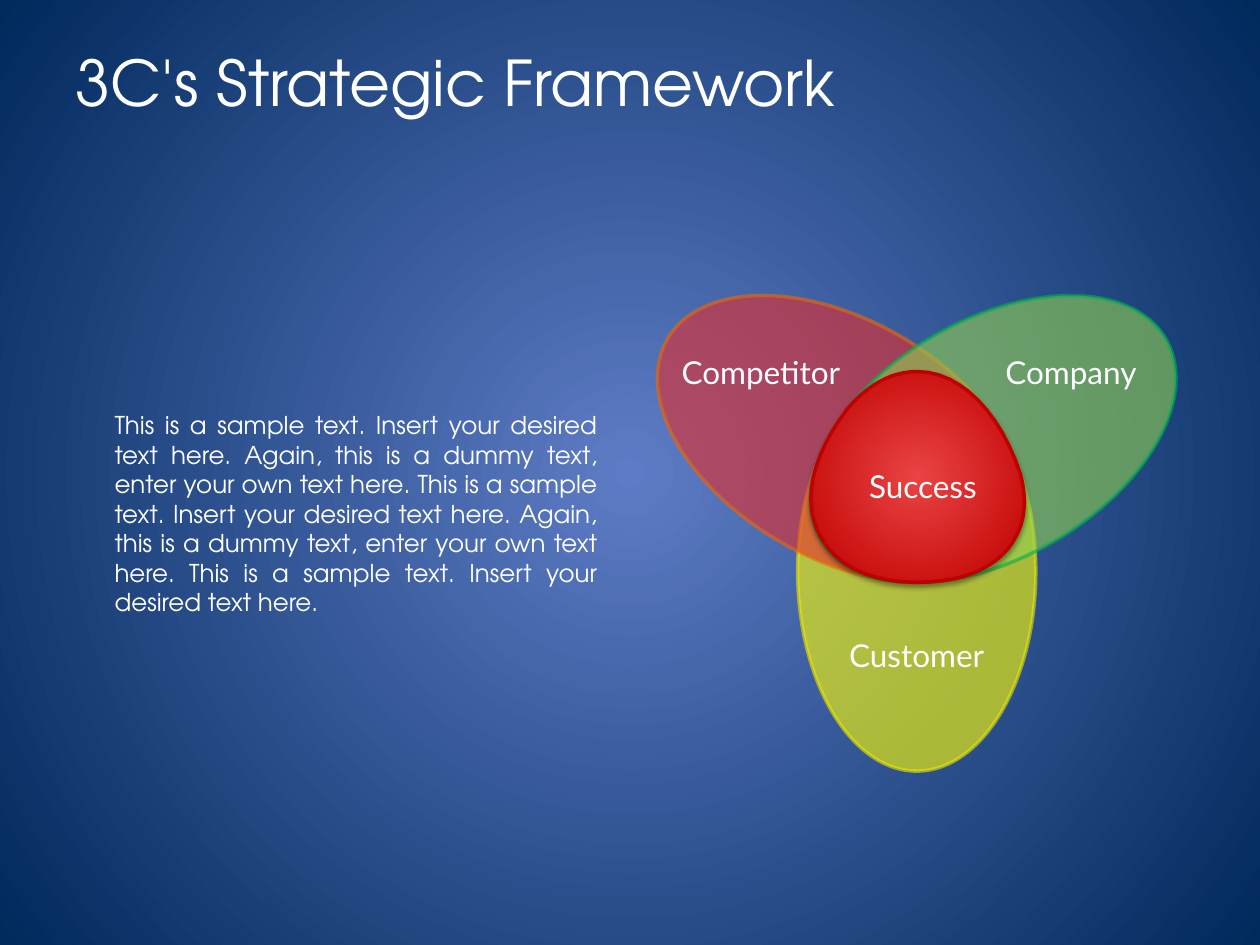
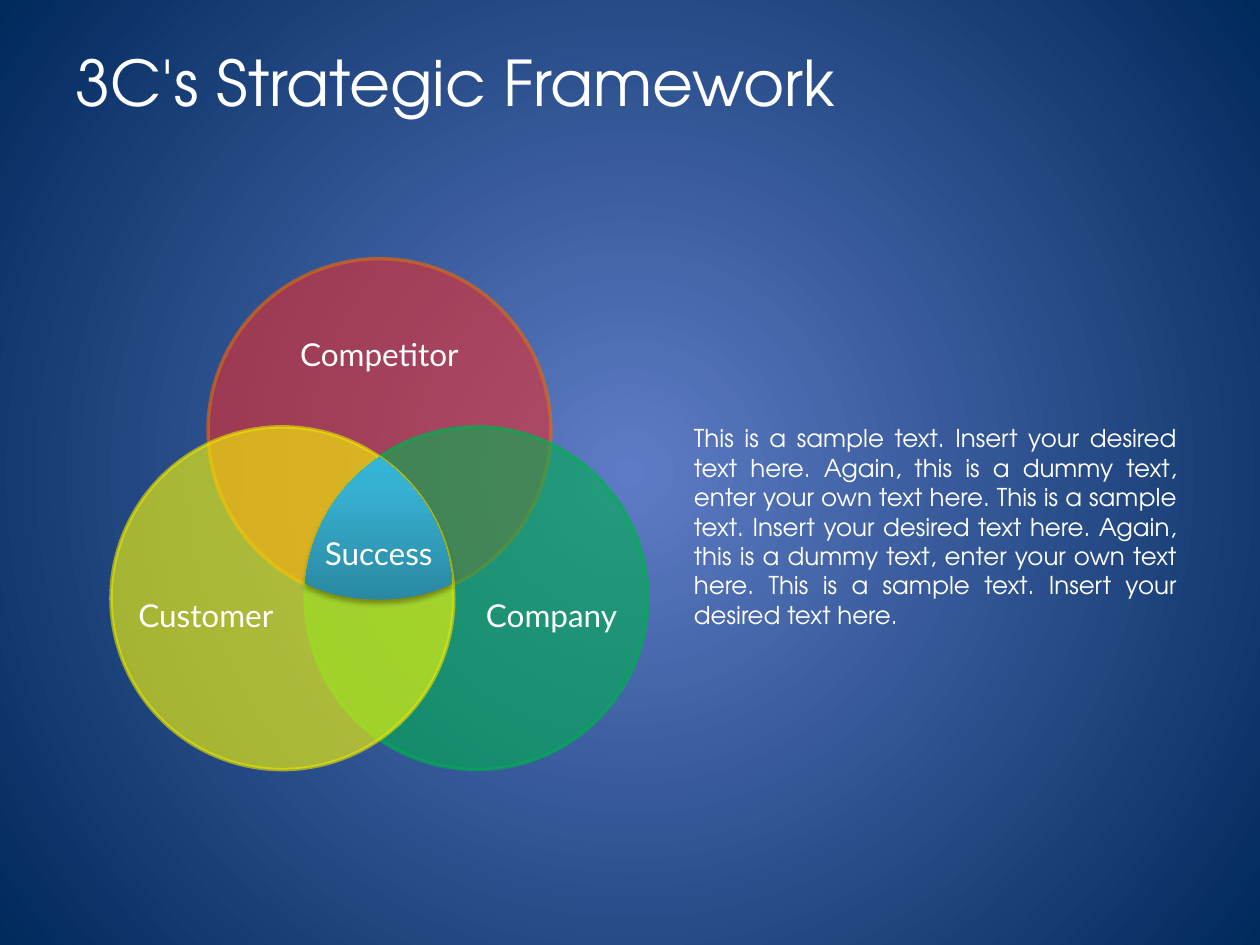
from dataclasses import dataclass
from math import cos, radians, sin
from typing import Optional

from lxml.etree import SubElement
from pptx import Presentation
from pptx.dml.color import RGBColor
from pptx.enum.shapes import MSO_SHAPE
from pptx.enum.text import MSO_ANCHOR, MSO_AUTO_SIZE as AutoSize, PP_ALIGN
from pptx.oxml import parse_xml
from pptx.oxml.ns import nsdecls, qn
from pptx.util import Cm, Pt

WHITE = RGBColor(0xFF, 0xFF, 0xFF)
BLACK = RGBColor(0x00, 0x00, 0x00)
GLOW_BLUE = RGBColor(0x5E, 0x7C, 0xC5)
NAVY = RGBColor(0x00, 0x29, 0x5C)
YELLOW = RGBColor(0xFF, 0xFF, 0x00)
DARK_YELLOW = RGBColor(0xEB, 0xE6, 0x00)
RED = RGBColor(0xE7, 0x2D, 0x2D)
ORANGE = RGBColor(0xE4, 0x6C, 0x0A)
LIME = RGBColor(0x92, 0xD0, 0x50)
GREEN = RGBColor(0x00, 0xB0, 0x50)
BRIGHT_RED = RGBColor(0xE9, 0x43, 0x43)
DARK_RED = RGBColor(0xC0, 0x00, 0x00)
TEAL = RGBColor(0x2A, 0x88, 0xA2)
AQUA = RGBColor(0x37, 0xB1, 0xD2)
SKY = RGBColor(0x34, 0xB4, 0xD6)

HEADING_FONT = "TeX Gyre Adventor"
LABEL_FONT = "Lato"
TITLE = "3C's Strategic Framework"
SAMPLE = "This is a sample text. Insert your desired text here."
AGAIN = "Again, this is a dummy text, enter your own text here."
BODY = " ".join([SAMPLE, AGAIN, SAMPLE, AGAIN, SAMPLE])

RADIAL = (
    '<a:path path="circle">'
    '<a:fillToRect l="50000" t="50000" r="50000" b="50000"/></a:path>'
)
UPWARD = '<a:lin ang="16200000" scaled="0"/>'
CURVE_STEPS = 12

Point = tuple[float, float]
Stops = list[tuple[int, RGBColor]]


@dataclass(frozen=True)
class Lobe:
    angle: float
    fill: RGBColor
    outline: RGBColor
    tilt: float = 0


@dataclass(frozen=True)
class Label:
    text: str
    left: float
    top: float
    width: float


@dataclass(frozen=True)
class Core:
    curve: list[Point]
    stops: Stops
    direction: str
    outline: Optional[RGBColor]
    shadow_alpha: int
    shadow_distance: float


@dataclass(frozen=True)
class Framework:
    center: Point
    spread: float
    lobe_size: Point
    lobes: list[Lobe]
    core: Core
    labels: list[Label]
    body_at: Point


PETALS = Framework(
    center=(18.48, 9.74),
    spread=1.78,
    lobe_size=(8.05, 4.8),
    lobes=[
        Lobe(90, YELLOW, DARK_YELLOW, 90),
        Lobe(210, RED, ORANGE, 30),
        Lobe(330, LIME, GREEN, 330),
    ],
    core=Core(
        curve=[
            (18.49, 7.49),
            (19.38, 7.49), (20.17, 8.33), (20.57, 9.55),
            (20.7, 10.03), (20.68, 10.49), (20.45, 10.87),
            (20.22, 11.28), (19.79, 11.53), (19.28, 11.66),
            (18.06, 11.89), (16.99, 11.61), (16.56, 10.85),
            (16.13, 10.13), (16.38, 9.17), (17.07, 8.26),
            (17.48, 7.77), (17.96, 7.49), (18.49, 7.49),
        ],
        stops=[(0, BRIGHT_RED), (100, DARK_RED)],
        direction=RADIAL,
        outline=DARK_RED,
        shadow_alpha=38,
        shadow_distance=1.6,
    ),
    labels=[
        Label("Customer", 16.79, 12.7, 3.38),
        Label("Competitor", 13.41, 6.99, 3.86),
        Label("Company", 19.66, 6.99, 3.86),
        Label("Success", 17.12, 9.3, 2.97),
    ],
    body_at=(2.06, 6.83),
)

CIRCLES = Framework(
    center=(7.65, 10.93),
    spread=2.26,
    lobe_size=(6.91, 6.91),
    lobes=[
        Lobe(270, RED, ORANGE),
        Lobe(30, GREEN, GREEN),
        Lobe(150, YELLOW, DARK_YELLOW),
    ],
    core=Core(
        curve=[
            (7.65, 9.22),
            (8.46, 9.78), (9.04, 10.69), (9.12, 11.76),
            (8.66, 11.99), (8.18, 12.09), (7.65, 12.09),
            (7.11, 12.09), (6.6, 11.99), (6.15, 11.76),
            (6.25, 10.69), (6.81, 9.78), (7.65, 9.22),
        ],
        stops=[(0, TEAL), (80, AQUA), (100, SKY)],
        direction=UPWARD,
        outline=None,
        shadow_alpha=35,
        shadow_distance=1.8,
    ),
    labels=[
        Label("Customer", 2.46, 11.89, 3.38),
        Label("Competitor", 5.72, 6.63, 3.86),
        Label("Company", 9.19, 11.89, 3.86),
        Label("Success", 6.15, 10.64, 2.97),
    ],
    body_at=(13.74, 7.09),
)


def apply_gradient(owner, fill, stops: Stops, direction: str) -> None:
    fill.gradient()
    stop_xml = "".join(
        f'<a:gs pos="{position * 1000}"><a:srgbClr val="{color}"/></a:gs>'
        for position, color in stops
    )
    default = next(owner.element.iter(qn("a:gradFill")))
    default.getparent().replace(default, parse_xml(
        f'<a:gradFill {nsdecls("a")} rotWithShape="1">'
        f"<a:gsLst>{stop_xml}</a:gsLst>{direction}</a:gradFill>"
    ))


def format_text(frame, text: str, font: str, size: int, align: PP_ALIGN) -> None:
    frame.text = text
    frame.word_wrap = True
    paragraph = frame.paragraphs[0]
    paragraph.alignment = align
    paragraph.font.name = font
    paragraph.font.size = Pt(size)
    paragraph.font.color.rgb = WHITE


def add_title(slide) -> None:
    title = slide.shapes.title
    title.left, title.top = Cm(1.27), Cm(0.43)
    title.width, title.height = Cm(22.86), Cm(2.41)
    format_text(title.text_frame, TITLE, HEADING_FONT, 36, PP_ALIGN.LEFT)
    title.text_frame.vertical_anchor = MSO_ANCHOR.MIDDLE


def add_lobe(slide, framework: Framework, lobe: Lobe) -> None:
    width, height = framework.lobe_size
    x = framework.center[0] + framework.spread * cos(radians(lobe.angle))
    y = framework.center[1] + framework.spread * sin(radians(lobe.angle))
    ellipse = slide.shapes.add_shape(
        MSO_SHAPE.OVAL, Cm(x - width / 2), Cm(y - height / 2), Cm(width), Cm(height)
    )
    ellipse.rotation = lobe.tilt
    ellipse.shadow.inherit = False
    ellipse.fill.solid()
    ellipse.fill.fore_color.rgb = lobe.fill
    ellipse.line.color.rgb = lobe.outline
    ellipse.line.width = Pt(2)
    for color in ellipse.element.spPr.iter(qn("a:srgbClr")):
        SubElement(color, qn("a:alpha"), val="60000")


def trace_curve(curve: list[Point]) -> list[tuple[int, int]]:
    traced = []
    for first in range(0, len(curve) - 1, 3):
        controls = curve[first:first + 4]
        for step in range(1, CURVE_STEPS + 1):
            t = step / CURVE_STEPS
            weights = ((1 - t) ** 3, 3 * t * (1 - t) ** 2, 3 * t**2 * (1 - t), t**3)
            x, y = (
                sum(weight * point[axis] for weight, point in zip(weights, controls))
                for axis in (0, 1)
            )
            traced.append((Cm(x), Cm(y)))
    return traced


def add_core(slide, core: Core) -> None:
    start_x, start_y = core.curve[0]
    builder = slide.shapes.build_freeform(Cm(start_x), Cm(start_y))
    builder.add_line_segments(trace_curve(core.curve), close=True)
    success = builder.convert_to_shape()
    apply_gradient(success, success.fill, core.stops, core.direction)
    if core.outline is None:
        success.line.fill.background()
    else:
        success.line.color.rgb = core.outline
        success.line.width = Pt(2)
    success.shadow.inherit = False
    success.element.spPr.find(qn("a:effectLst")).append(parse_xml(
        f'<a:outerShdw {nsdecls("a")} blurRad="{Pt(3.1)}" '
        f'dist="{Pt(core.shadow_distance)}" dir="5400000" rotWithShape="0">'
        f'<a:srgbClr val="{BLACK}"><a:alpha val="{core.shadow_alpha * 1000}"/>'
        "</a:srgbClr></a:outerShdw>"
    ))


def add_label(slide, label: Label) -> None:
    frame = slide.shapes.add_textbox(
        Cm(label.left), Cm(label.top), Cm(label.width), Cm(1.02)
    ).text_frame
    format_text(frame, label.text, LABEL_FONT, 18, PP_ALIGN.CENTER)
    frame.auto_size = AutoSize.SHAPE_TO_FIT_TEXT


def add_body(slide, position: Point) -> None:
    left, top = position
    frame = slide.shapes.add_textbox(Cm(left), Cm(top), Cm(10.24), Cm(7.04)).text_frame
    format_text(frame, BODY, HEADING_FONT, 14, PP_ALIGN.JUSTIFY)
    frame.vertical_anchor = MSO_ANCHOR.MIDDLE
    frame.margin_top = frame.margin_bottom = 0


def add_framework(deck, framework: Framework) -> None:
    slide = deck.slides.add_slide(deck.slide_layouts.get_by_name("Title Only"))
    add_title(slide)
    for lobe in framework.lobes:
        add_lobe(slide, framework, lobe)
    add_core(slide, framework.core)
    for label in framework.labels:
        add_label(slide, label)
    add_body(slide, framework.body_at)


def main() -> None:
    deck = Presentation()
    deck.slide_width, deck.slide_height = Cm(25.4), Cm(19.05)
    master = deck.slide_master
    apply_gradient(master, master.background.fill, [(0, GLOW_BLUE), (100, NAVY)], RADIAL)
    for framework in (PETALS, CIRCLES):
        add_framework(deck, framework)
    deck.save("out.pptx")


if __name__ == "__main__":
    main()
